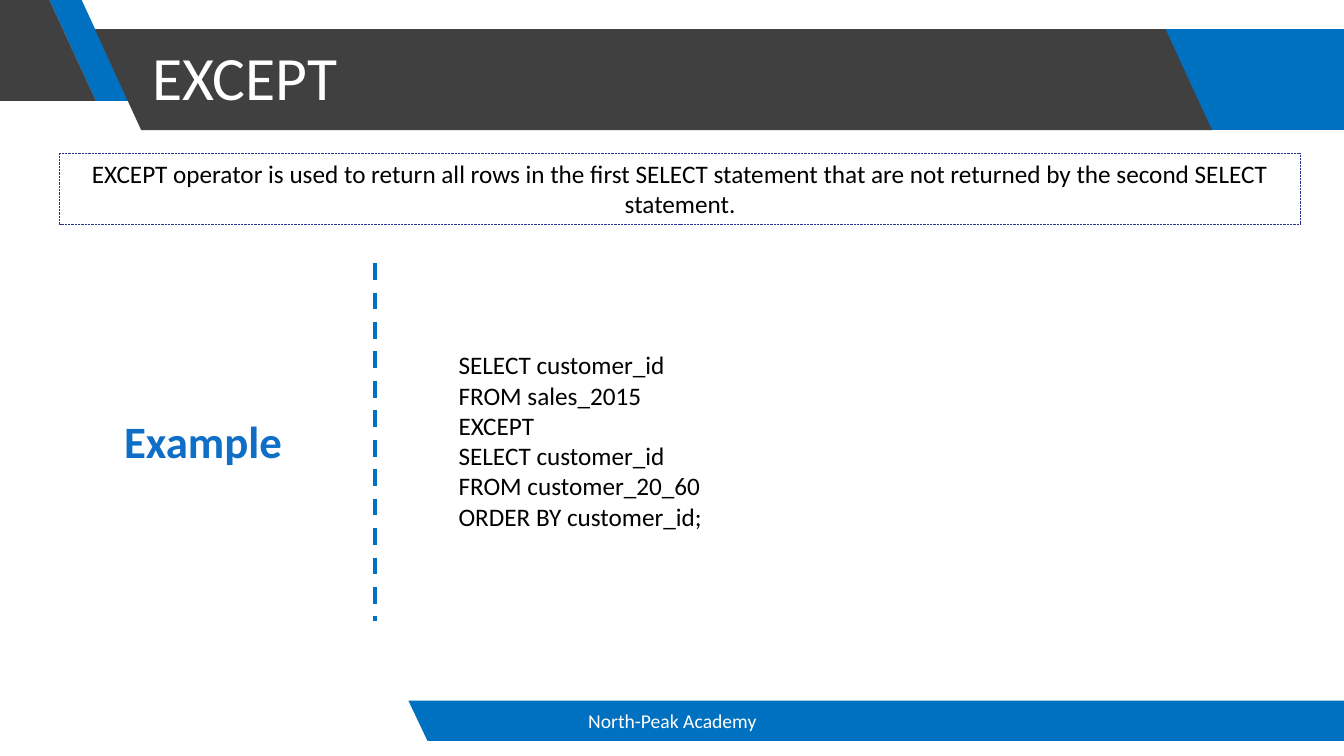
from lxml.etree import SubElement
from pptx import Presentation
from pptx.dml.color import RGBColor
from pptx.enum.dml import MSO_LINE
from pptx.enum.shapes import MSO_CONNECTOR, MSO_SHAPE
from pptx.enum.text import MSO_ANCHOR, MSO_AUTO_SIZE, PP_ALIGN
from pptx.oxml.ns import qn
from pptx.util import Inches, Pt

WIDTH, HEIGHT = 13.33, 7.5
BLUE, DARK, WHITE, BLACK = "0070C0", "404040", "FFFFFF", "000000"
SLANT = 0.46
QUERY = [
    "SELECT customer_id",
    "FROM sales_2015",
    "EXCEPT",
    "SELECT customer_id",
    "FROM customer_20_60",
    "ORDER BY customer_id;",
]


def color(hex_code):
    """Turn a hex string into a colour."""
    return RGBColor.from_string(hex_code)


def apply(target, formats):
    """Set every attribute named in a dict of format values."""
    for name, value in formats.items():
        setattr(target, name, value)


def write(shape, lines, size, hex_code, align=PP_ALIGN.LEFT, bold=False,
          anchor=MSO_ANCHOR.TOP):
    """Fill a shape with one formatted paragraph per line."""
    frame = shape.text_frame
    apply(frame, {"word_wrap": True, "auto_size": MSO_AUTO_SIZE.NONE,
                  "vertical_anchor": anchor})
    frame.text = "\n".join(lines)
    for paragraph in frame.paragraphs:
        paragraph.alignment = align
        apply(paragraph.font, {"name": "Calibri", "size": Pt(size), "bold": bold})
        paragraph.font.color.rgb = color(hex_code)


def add_text(slide, box, lines, size, hex_code, **formats):
    """Add a text box at the given box."""
    label = slide.shapes.add_textbox(*map(Inches, box))
    write(label, lines, size, hex_code, **formats)


def add_band(slide, box, hex_code, left_slant=0, right_slant=0):
    """Draw a band whose sides lean right by the given slants towards the bottom."""
    left, top, width, height = box
    right, bottom = left + width, top + height
    corners = [(right, top), (right + right_slant, bottom), (left + left_slant, bottom)]
    builder = slide.shapes.build_freeform(Inches(left), Inches(top))
    builder.add_line_segments([tuple(map(Inches, corner)) for corner in corners])
    band = builder.convert_to_shape()
    band.shadow.inherit = False
    band.fill.solid()
    band.fill.fore_color.rgb = color(hex_code)
    band.line.fill.background()


def add_header(slide, box, heading):
    """Draw the slanted title bar and place the title on it."""
    left, top, width, height = box
    bar_top = top + 0.29
    add_band(slide, (left + 10.68, bar_top, width - 10.68, height), BLUE)
    add_band(slide, (left + 0.49, top, 0.32, height), BLUE, SLANT, SLANT)
    add_band(slide, (left, top, 0.49, height), DARK, 0, SLANT)
    add_band(slide, (left + 0.94, bar_top, 10.62, height), DARK, SLANT, SLANT)
    title = slide.shapes.title
    title.element.getparent().append(title.element)
    apply(title, {"left": Inches(left + 1.41), "top": Inches(top + 0.07),
                  "width": Inches(10.14), "height": Inches(1.45)})
    write(title, [heading], 44, WHITE, anchor=MSO_ANCHOR.MIDDLE)
    title.text_frame.paragraphs[0].line_spacing = 0.9


def add_footer(slide, box, academy):
    """Draw the footer band with the academy name."""
    left, top, width, height = box
    add_band(slide, box, BLUE, left_slant=0.19)
    add_text(slide, (left + 0.37, top, 4.5, height), [academy], 14, WHITE,
             align=PP_ALIGN.CENTER, anchor=MSO_ANCHOR.MIDDLE)


def add_definition(slide, box, sentence):
    """Place the definition in a dotted frame."""
    definition = slide.shapes.add_shape(MSO_SHAPE.RECTANGLE, *map(Inches, box))
    definition.shadow.inherit = False
    definition.fill.background()
    definition.line.color.rgb = color("263393")
    apply(definition.line, {"width": Pt(0.5), "dash_style": MSO_LINE.ROUND_DOT})
    write(definition, [sentence], 18, BLACK, align=PP_ALIGN.CENTER)


def add_example(slide, box, caption, query):
    """Set the caption and the query on either side of a dashed divider."""
    left, top, width, height = box
    divider_x = left + 3.41
    ends = (divider_x, top, divider_x, top + height)
    divider = slide.shapes.add_connector(MSO_CONNECTOR.STRAIGHT, *map(Inches, ends))
    divider.line.color.rgb = color(BLUE)
    apply(divider.line, {"width": Pt(3), "dash_style": MSO_LINE.DASH})
    SubElement(divider.element.spPr, qn("a:effectLst"))
    add_text(slide, (left, top + 1.45, 3.41, 0.64), [caption], 32, "0F6FC6",
             align=PP_ALIGN.CENTER, bold=True)
    add_text(slide, (left + 4.14, top + 0.81, width - 4.14, 1.92), query, 18, BLACK)


def main():
    """Build and save the slide."""
    deck = Presentation()
    apply(deck, {"slide_width": Inches(WIDTH), "slide_height": Inches(HEIGHT)})
    slide = deck.slides.add_slide(deck.slide_layouts[5])
    add_header(slide, (0, 0, WIDTH, 1), "EXCEPT")
    add_footer(slide, (4.05, 6.95, WIDTH - 4.05, 0.4), "North-Peak Academy")
    add_definition(slide, (0.59, 1.52, 12.31, 0.71),
                   "EXCEPT operator is used to return all rows in the first SELECT "
                   "statement that are not returned by the second SELECT statement.")
    add_example(slide, (0.31, 2.61, 12.4, 3.55), "Example", QUERY)
    deck.save("out.pptx")


if __name__ == "__main__":
    main()
